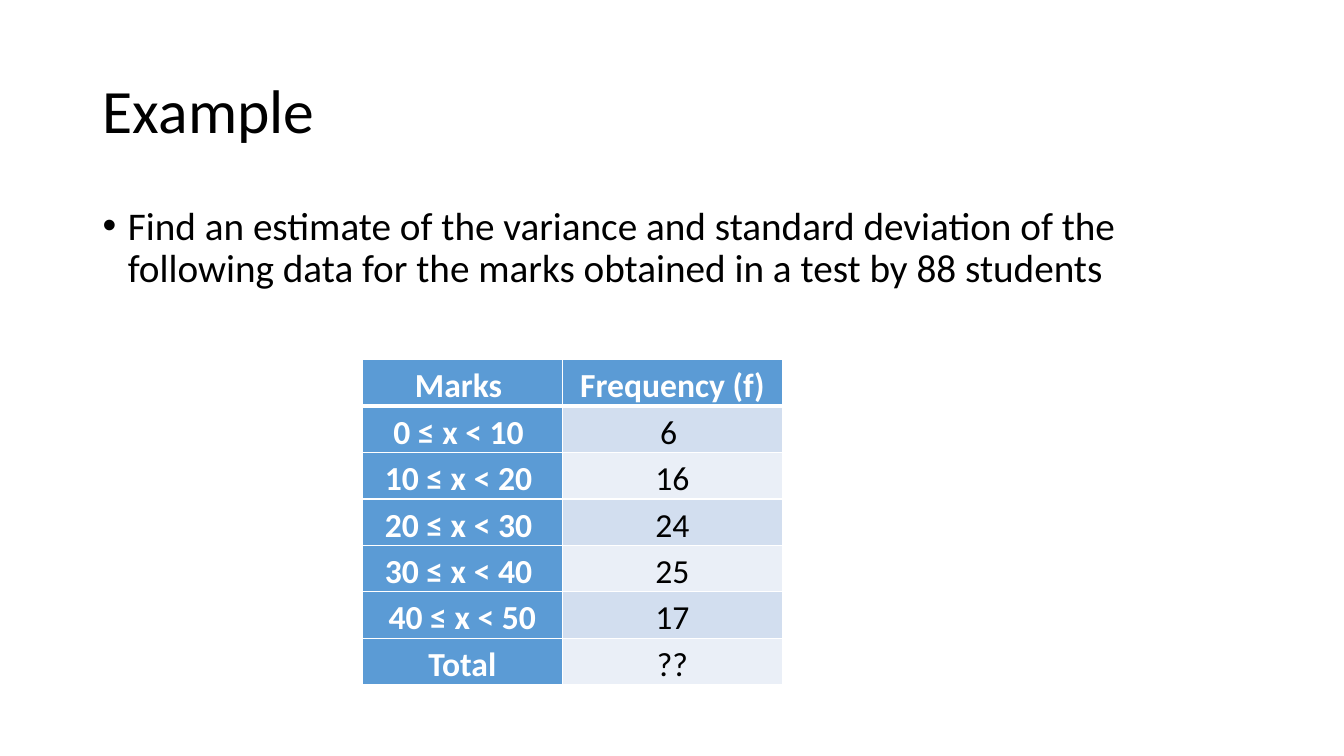
from lxml.etree import SubElement
from pptx import Presentation
from pptx.dml.color import RGBColor
from pptx.enum.text import MSO_ANCHOR as Anchor, MSO_AUTO_SIZE as AutoSize, PP_ALIGN as Align
from pptx.oxml.ns import qn
from pptx.util import Pt

EMU_PER_PX = 9144
FONT = "Calibri"
BLACK, WHITE, BLUE = "000000", "FFFFFF", "5B9BD5"
BANDS = ("D2DEEF", "EAEFF7")
QUESTION = ("Find an estimate of the variance and standard deviation of the "
            "following data for the marks obtained in a test by 88 students")
MARKS = [
    ("Marks ", "Frequency (f)"),
    ("0 ≤ x < 10 ", "6 "),
    ("10 ≤ x < 20 ", "16"),
    ("20 ≤ x < 30 ", "24"),
    ("30 ≤ x < 40 ", "25"),
    ("40 ≤ x < 50", "17"),
    ("Total", "??"),
]


def px(length):
    """Turn a length in px into EMU."""
    return length * EMU_PER_PX


def color(value):
    """Turn a hex string into a colour."""
    return RGBColor.from_string(value)


def style_paragraph(paragraph, size, ink, spacing, align=Align.LEFT, bold=False):
    """Format a paragraph and its runs."""
    paragraph.alignment = align
    paragraph.line_spacing = spacing
    for run in paragraph.runs:
        run.font.name = FONT
        run.font.size = Pt(size)
        run.font.bold = bold
        run.font.color.rgb = color(ink)


def add_bullet(paragraph, indent):
    """Give a paragraph a round bullet with a hanging indent."""
    properties = paragraph._p.get_or_add_pPr()
    properties.set("marL", str(px(indent)))
    properties.set("indent", str(-px(indent)))
    SubElement(properties, qn("a:buFont"), typeface="Arial")
    SubElement(properties, qn("a:buChar"), char="•")


def place_title(slide, left, top, width, height):
    """Move the title placeholder into its box and fill it."""
    title = slide.shapes.title
    title.left, title.top, title.width, title.height = map(px, (left, top, width, height))
    frame = title.text_frame
    frame.text = "Example"
    frame.auto_size = AutoSize.NONE
    frame.vertical_anchor = Anchor.MIDDLE
    style_paragraph(frame.paragraphs[0], 44, BLACK, 0.9)


def place_question(slide, left, top, width, height):
    """Add the bulleted question in its box."""
    frame = slide.shapes.add_textbox(*map(px, (left, top, width, height))).text_frame
    frame.word_wrap = True
    frame.text = QUESTION
    paragraph = frame.paragraphs[0]
    add_bullet(paragraph, 25)
    style_paragraph(paragraph, 28, BLACK, 0.9)


def add_borders(cell, top, bottom):
    """Draw white cell borders, with top and bottom widths in points."""
    properties = cell._tc.get_or_add_tcPr()
    for side, width in (("L", 1), ("R", 1), ("T", top), ("B", bottom)):
        line = SubElement(properties, qn(f"a:ln{side}"), w=str(Pt(width)))
        fill = SubElement(line, qn("a:solidFill"))
        SubElement(fill, qn("a:srgbClr"), val=WHITE)


def place_marks_table(slide, left, top, column_widths, row_height):
    """Add the frequency table with a blue header row and first column."""
    box = (left, top, sum(column_widths), row_height * len(MARKS))
    table = slide.shapes.add_table(len(MARKS), len(column_widths), *map(px, box)).table
    table.first_row = table.horz_banding = False
    for column, width in zip(table.columns, column_widths):
        column.width = px(width)
    for row_index, values in enumerate(MARKS):
        table.rows[row_index].height = px(row_height)
        for column_index, value in enumerate(values):
            cell = table.cell(row_index, column_index)
            heading = row_index == 0 or column_index == 0
            cell.text = value
            cell.margin_left = cell.margin_right = px(7)
            cell.margin_top = cell.margin_bottom = 0
            add_borders(cell, 3 if row_index == 1 else 1, 3 if row_index == 0 else 1)
            cell.fill.solid()
            cell.fill.fore_color.rgb = color(BLUE if heading else BANDS[(row_index - 1) % 2])
            style_paragraph(cell.text_frame.paragraphs[0], 24, WHITE if heading else BLACK,
                            1.15, Align.CENTER, heading)


def main():
    """Build the slide and save it."""
    presentation = Presentation()
    presentation.slide_width, presentation.slide_height = px(1333), px(750)
    slide = presentation.slides.add_slide(presentation.slide_layouts[5])
    place_title(slide, 92, 40, 1150, 145)
    place_question(slide, 92, 200, 1150, 476)
    place_marks_table(slide, 359, 357, (199, 218), 39)
    presentation.save("out.pptx")


if __name__ == "__main__":
    main()
